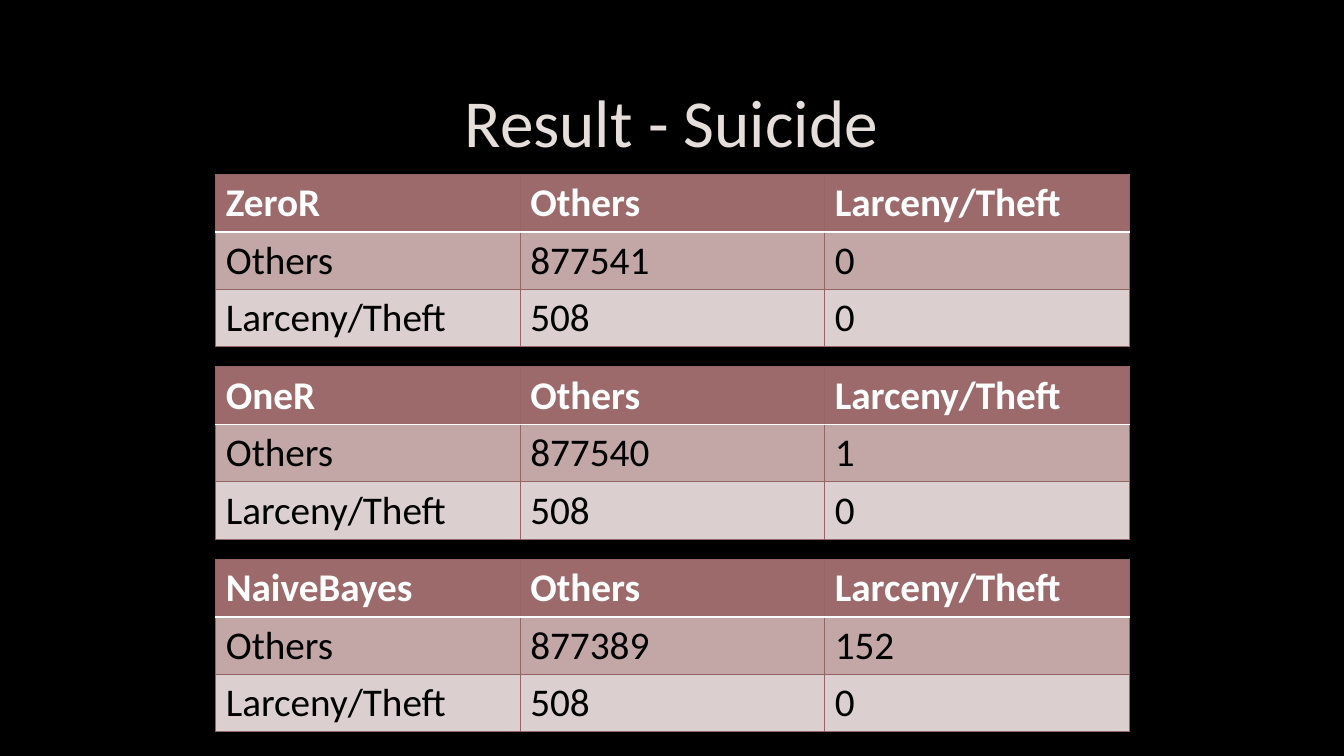
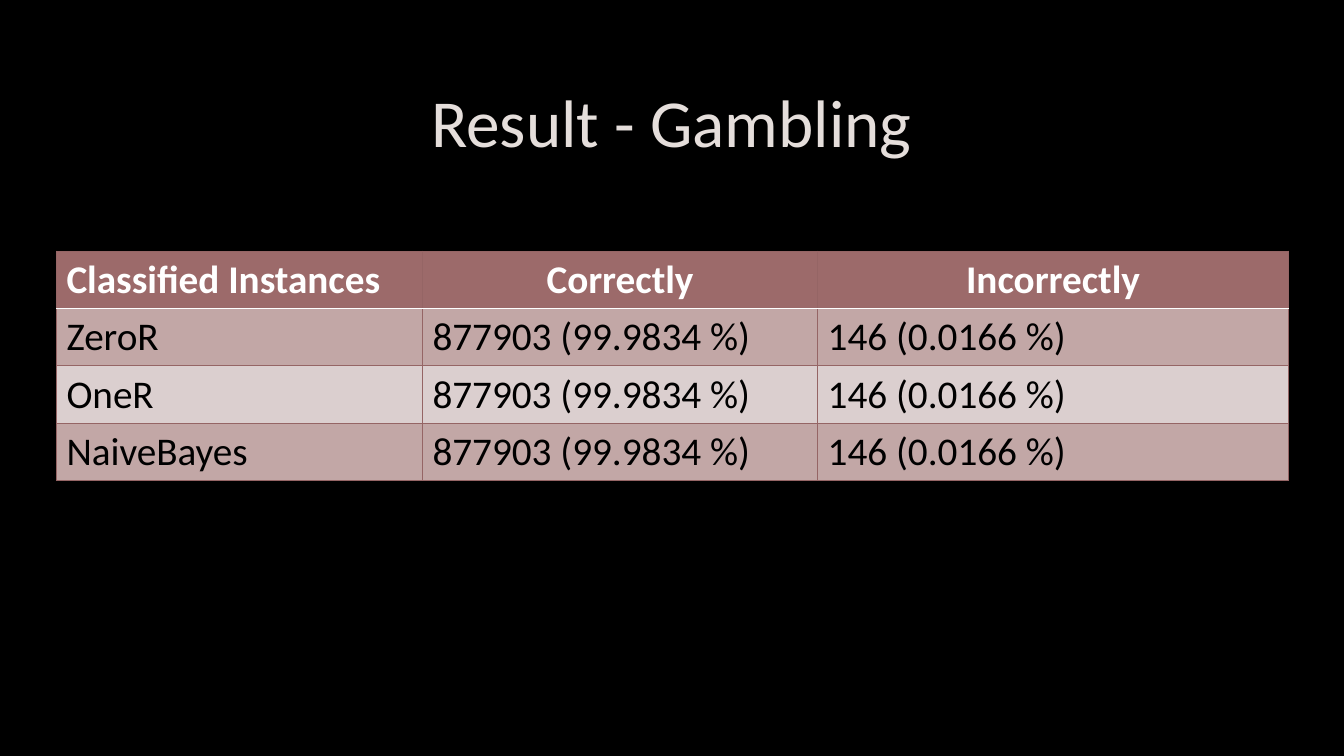
"""Build two result slides with classifier tables."""
from dataclasses import dataclass

from lxml import etree
from pptx import Presentation
from pptx.dml.color import RGBColor
from pptx.enum.text import MSO_ANCHOR, PP_ALIGN
from pptx.oxml.ns import qn
from pptx.util import Inches, Pt

LEFT, CENTER = PP_ALIGN.LEFT, PP_ALIGN.CENTER
MIDDLE = MSO_ANCHOR.MIDDLE


@dataclass(frozen=True)
class Theme:
    """Colours, type sizes and line widths of the deck."""
    font: str = "Calibri"
    back: str = "000000"
    title: str = "E5DEDB"
    head: str = "9C6A6A"
    bands: tuple = ("C2A7A6", "DBCFCF")
    line: str = "956565"
    rule: str = "FFFFFF"
    light: str = "FFFFFF"
    dark: str = "000000"
    title_size: int = 48
    cell_size: int = 28
    thin: float = 0.75
    thick: float = 1.25


THEME = Theme()
ROW = 0.57


def style(font, color, **values):
    """Apply a colour and format values to a font."""
    font.color.rgb = RGBColor.from_string(color)
    for name, value in {"name": THEME.font, **values}.items():
        setattr(font, name, value)


def paint(fill, color):
    """Make a fill solid in one colour."""
    fill.solid()
    fill.fore_color.rgb = RGBColor.from_string(color)


def add_title(slide, text):
    """Add the centred title."""
    box = slide.shapes.add_textbox(*map(Inches, (1, 0.67, 11.32, 1.06)))
    frame = box.text_frame
    for name, value in {"word_wrap": True, "vertical_anchor": MIDDLE}.items():
        setattr(frame, name, value)
    para = frame.paragraphs[0]
    para.text, para.alignment = text, CENTER
    style(para.font, THEME.title, size=Pt(THEME.title_size))


def add_edge(cell, side, color, width):
    """Draw one border of a cell."""
    props = cell._tc.get_or_add_tcPr()
    edge = etree.SubElement(props, qn(f"a:ln{side}"), w=str(Pt(width)))
    fill = etree.SubElement(edge, qn("a:solidFill"))
    etree.SubElement(fill, qn("a:srgbClr"), val=color)


def fill_cell(cell, text, row, align):
    """Write and colour a cell according to its row."""
    header = row == 0
    thin, thick = (THEME.line, THEME.thin), (THEME.rule, THEME.thick)
    edges = {"L": thin, "R": thin,
             "T": thick if row == 1 else thin,
             "B": thick if header else thin}
    for side, (color, width) in edges.items():
        add_edge(cell, side, color, width)
    paint(cell.fill, THEME.head if header else THEME.bands[(row - 1) % 2])
    para = cell.text_frame.paragraphs[0]
    para.text, para.alignment = text, align
    style(para.font, THEME.light if header else THEME.dark,
          size=Pt(THEME.cell_size), bold=header)


def add_grid(slide, left, top, widths, rows, align=LEFT):
    """Add a table, with the given alignment for its value headings."""
    size = (left, top, sum(widths), ROW * len(rows))
    table = slide.shapes.add_table(
        len(rows), len(widths), *map(Inches, size)).table
    for col, width in zip(table.columns, widths):
        col.width = Inches(width)
    for r, texts in enumerate(rows):
        table.rows[r].height = Inches(ROW)
        for c, text in enumerate(texts):
            place = align if r == 0 and c else LEFT
            fill_cell(table.cell(r, c), text, r, place)


def add_slide(deck, title):
    """Add a blank slide with a title."""
    slide = deck.slides.add_slide(deck.slide_layouts[6])
    add_title(slide, title)
    return slide


def add_matrix(slide, index, name, hits, misses):
    """Add one confusion matrix to the stack."""
    first, other = "Others", "Larceny/Theft"
    rows = [(name, first, other), (first, hits, misses), (other, "508", "0")]
    add_grid(slide, 2.14, 1.73 + 1.91 * index, [3.02] * 3, rows)


def main():
    """Build and save the deck."""
    deck = Presentation()
    deck.slide_width, deck.slide_height = Inches(13.33), Inches(7.5)
    paint(deck.slide_master.background.fill, THEME.back)

    slide = add_slide(deck, "Result - Suicide")
    models = [("ZeroR", "877541", "0"), ("OneR", "877540", "1"),
              ("NaiveBayes", "877389", "152")]
    for index, model in enumerate(models):
        add_matrix(slide, index, *model)

    slide = add_slide(deck, "Result - Gambling")
    scores = ("877903 (99.9834 %)", "146 (0.0166 %)")
    rows = [("Classified Instances", "Correctly", "Incorrectly")]
    rows += [(name, *scores) for name, *_ in models]
    add_grid(slide, 0.56, 2.49, [3.63, 3.92, 4.67], rows, CENTER)

    deck.save("out.pptx")


if __name__ == "__main__":
    main()
